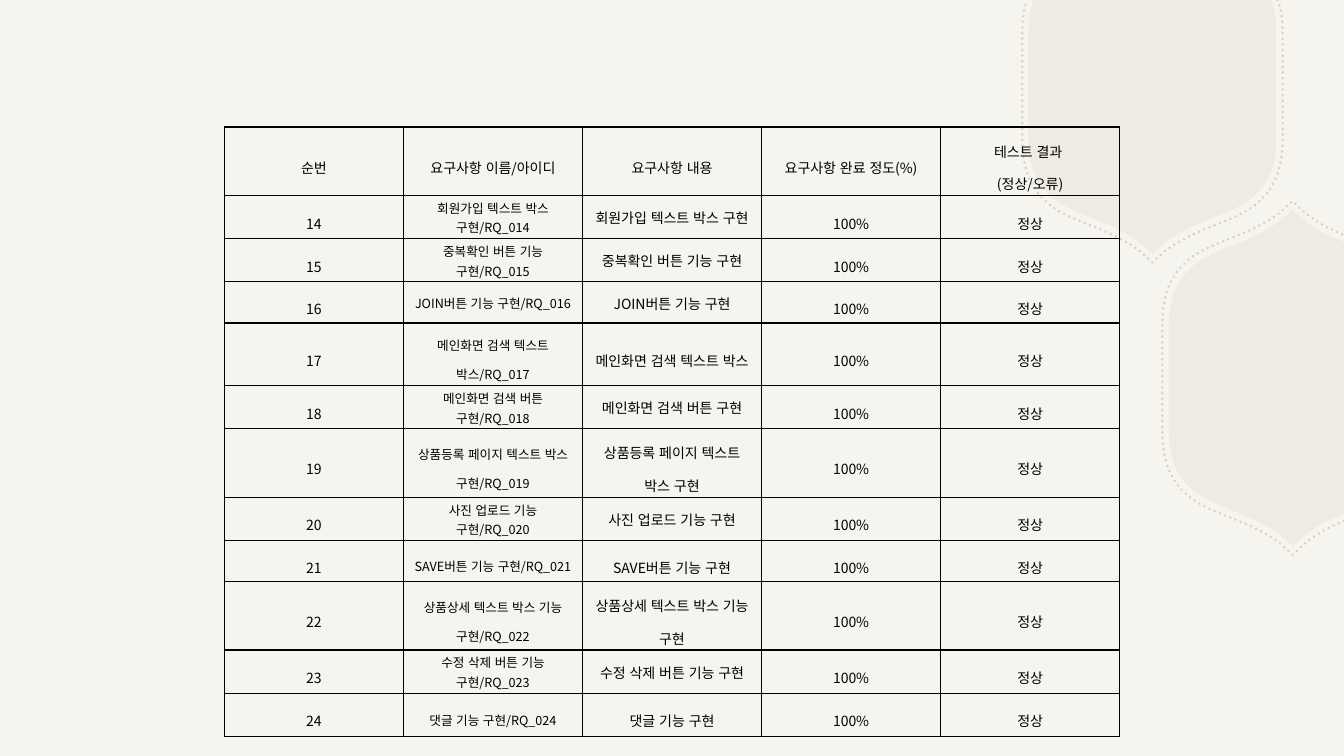
from dataclasses import dataclass

from lxml import etree
from pptx import Presentation
from pptx.dml.color import RGBColor
from pptx.enum.dml import MSO_LINE
from pptx.enum.lang import MSO_LANGUAGE_ID
from pptx.enum.text import MSO_ANCHOR, PP_ALIGN
from pptx.oxml import parse_xml
from pptx.oxml.ns import nsdecls, qn
from pptx.util import Inches, Pt

CENTER, MIDDLE = PP_ALIGN.CENTER, MSO_ANCHOR.MIDDLE
DOTTED, KOREAN = MSO_LINE.ROUND_DOT, MSO_LANGUAGE_ID.KOREAN
SLIDE_W, SLIDE_H = 13.33, 7.5


@dataclass(frozen=True)
class Theme:
    background: str = "F5F4EE"
    ornament: str = "C8C3A2"
    ink: str = "000000"
    font: str = "Noto Sans CJK KR"
    body: float = 10
    small: float = 9
    border: float = 1
    dots: float = 2
    fill_alpha: int = 15
    line_alpha: int = 65
    loose: float = 1.6
    tight: float = 1.07


THEME = Theme()

HEADERS = ["순번", "요구사항 이름/아이디", "요구사항 내용",
           "요구사항 완료 정도(%)", "테스트 결과 \n(정상/오류)"]
FIRST_NUMBER = 14
REQUIREMENTS = [
    "회원가입 텍스트 박스 구현",
    "중복확인 버튼 기능 구현",
    "JOIN버튼 기능 구현",
    "메인화면 검색 텍스트 박스",
    "메인화면 검색 버튼 구현",
    "상품등록 페이지 텍스트 박스 구현",
    "사진 업로드 기능 구현",
    "SAVE버튼 기능 구현",
    "상품상세 텍스트 박스 기능 구현",
    "수정 삭제 버튼 기능 구현",
    "댓글 기능 구현",
]
TIGHT_ROWS = {14, 15, 16, 18, 20, 23}
ROW_HEIGHTS = [0.38] + [0.41] * 10 + [0.43]
TABLE_W = 8.88

# Lower right quarter of the ornament from its centre: side, two curves, tip
QUARTER = [(1.23, 0.48),
           (1.23, 0.84), (1.13, 1.02), (0.91, 1.17),
           (0.68, 1.31), (0.38, 1.36), (0.11, 1.57),
           (0, 1.67)]
# Stretches that reach the slide's top and right edges
TOP_END = [(1.18, -0.85), (1.22, -0.73), (1.23, -0.62), (1.23, -0.48)]
RIGHT_END = [(0.51, 1.35), (0.31, 1.43), (0.25, 1.47), (0.18, 1.51), (0.11, 1.57)]


def top_ornament():
    """Points and segment kinds (L line, C curve), mirrored left to right."""
    half = TOP_END + QUARTER
    points = half + [(-x, y) for x, y in half[-2::-1]]
    kinds = "CLCCL"
    return points, kinds + kinds[::-1]


def right_ornament():
    """Points and segment kinds, mirrored top to bottom."""
    half = RIGHT_END + [(-x, y) for x, y in QUARTER[::-1]]
    points = half + [(x, -y) for x, y in half[::-1]]
    kinds = "LCLLCC"
    return points, kinds + "L" + kinds[::-1]


def join_curves(s, kinds):
    """Turn each run of three line points marked C into one Bezier segment."""
    lines = iter(list(s._element.iter(qn("a:lnTo"))))
    for kind in kinds:
        line = next(lines)
        if kind == "C":
            line.tag_curve = None
            curve = etree.Element(qn("a:cubicBezTo"))
            line.addprevious(curve)
            for part in (line, next(lines), next(lines)):
                curve.append(part[0])
                part.getparent().remove(part)


def add_freeform(slide, outline, cx, cy, scale, close):
    points, kinds = outline
    pts = [(Inches(min(cx + scale * x, SLIDE_W)), Inches(max(cy + scale * y, 0)))
           for x, y in points]
    builder = slide.shapes.build_freeform(*pts[0])
    builder.add_line_segments(pts[1:], close=close)
    s = builder.convert_to_shape()
    s.shadow.inherit = False
    join_curves(s, kinds)
    return s


def set_alpha(s, percent):
    color = s._element.spPr.find(".//" + qn("a:srgbClr"))
    etree.SubElement(color, qn("a:alpha"), val=str(percent * 1000))


def add_ornament_fill(slide, outline, cx, cy):
    s = add_freeform(slide, outline, cx, cy, 1, True)
    s.fill.solid()
    s.fill.fore_color.rgb = RGBColor.from_string(THEME.ornament)
    set_alpha(s, THEME.fill_alpha)
    s.line.fill.background()


def add_ornament_dots(slide, outline, cx, cy):
    s = add_freeform(slide, outline, cx, cy, 1.05, False)
    s.fill.background()
    s.line.color.rgb = RGBColor.from_string(THEME.ornament)
    s.line.width = Pt(THEME.dots)
    s.line.dash_style = DOTTED
    s._element.spPr.find(qn("a:ln")).set("cap", "rnd")
    set_alpha(s, THEME.line_alpha)


def set_borders(cell):
    tc_pr = cell._tc.get_or_add_tcPr()
    for side in ("lnL", "lnR", "lnT", "lnB"):
        tc_pr.append(parse_xml(
            f'<a:{side} {nsdecls("a")} w="{Pt(THEME.border)}"><a:solidFill>'
            f'<a:srgbClr val="{THEME.ink}"/></a:solidFill></a:{side}>'))


def fill_cell(cell, text, size, inset, tight=False):
    cell.text_frame.text = text
    cell.vertical_anchor = MIDDLE
    cell.margin_left = cell.margin_right = Inches(inset)
    cell.margin_top = cell.margin_bottom = Inches(0.02)
    set_borders(cell)
    cell.fill.background()
    for p in cell.text_frame.paragraphs:
        p.alignment = CENTER
        p.line_spacing = THEME.tight if tight else THEME.loose
        if tight:
            p.space_after = Pt(8)
        for r in p.runs:
            r.font.size = Pt(size)
            r.font.bold = False
            r.font.name = THEME.font
            r.font.language_id = KOREAN
            r.font.color.rgb = RGBColor.from_string(THEME.ink)
            etree.SubElement(r._r.get_or_add_rPr(), qn("a:ea"),
                             typeface=THEME.font)


def add_requirements_table(slide, left, top, width):
    frame = slide.shapes.add_table(
        len(ROW_HEIGHTS), len(HEADERS), Inches(left), Inches(top),
        Inches(width), Inches(sum(ROW_HEIGHTS)))
    table = frame.table
    table.first_row = table.horz_banding = False
    for column in table.columns:
        column.width = Inches(width / len(HEADERS))
    for row, height in zip(table.rows, ROW_HEIGHTS):
        row.height = Inches(height)

    # Header row
    for cell, text in zip(table.rows[0].cells, HEADERS):
        fill_cell(cell, text, THEME.body, 0.02)

    # One row per requirement
    for number, name in enumerate(REQUIREMENTS, FIRST_NUMBER):
        tight = number in TIGHT_ROWS
        cells = table.rows[number - FIRST_NUMBER + 1].cells
        fill_cell(cells[0], str(number), THEME.body, 0.07)
        fill_cell(cells[1], f"{name}/RQ_{number:03}", THEME.small, 0.07, tight)
        fill_cell(cells[2], name, THEME.body, 0.07, tight)
        fill_cell(cells[3], "100%", THEME.body, 0.02)
        fill_cell(cells[4], "정상", THEME.body, 0.02)


def main():
    prs = Presentation()
    prs.slide_width, prs.slide_height = Inches(SLIDE_W), Inches(SLIDE_H)
    slide = prs.slides.add_slide(prs.slide_layouts[6])
    slide.background.fill.solid()
    slide.background.fill.fore_color.rgb = RGBColor.from_string(THEME.background)

    # Corner ornaments
    ornaments = [(top_ornament(), 11.43, 0.85), (right_ornament(), 12.82, 3.75)]
    for add_part in (add_ornament_fill, add_ornament_dots):
        for ornament in ornaments:
            add_part(slide, *ornament)

    add_requirements_table(slide, (SLIDE_W - TABLE_W) / 2, 1.26, TABLE_W)
    prs.save("out.pptx")


main()
